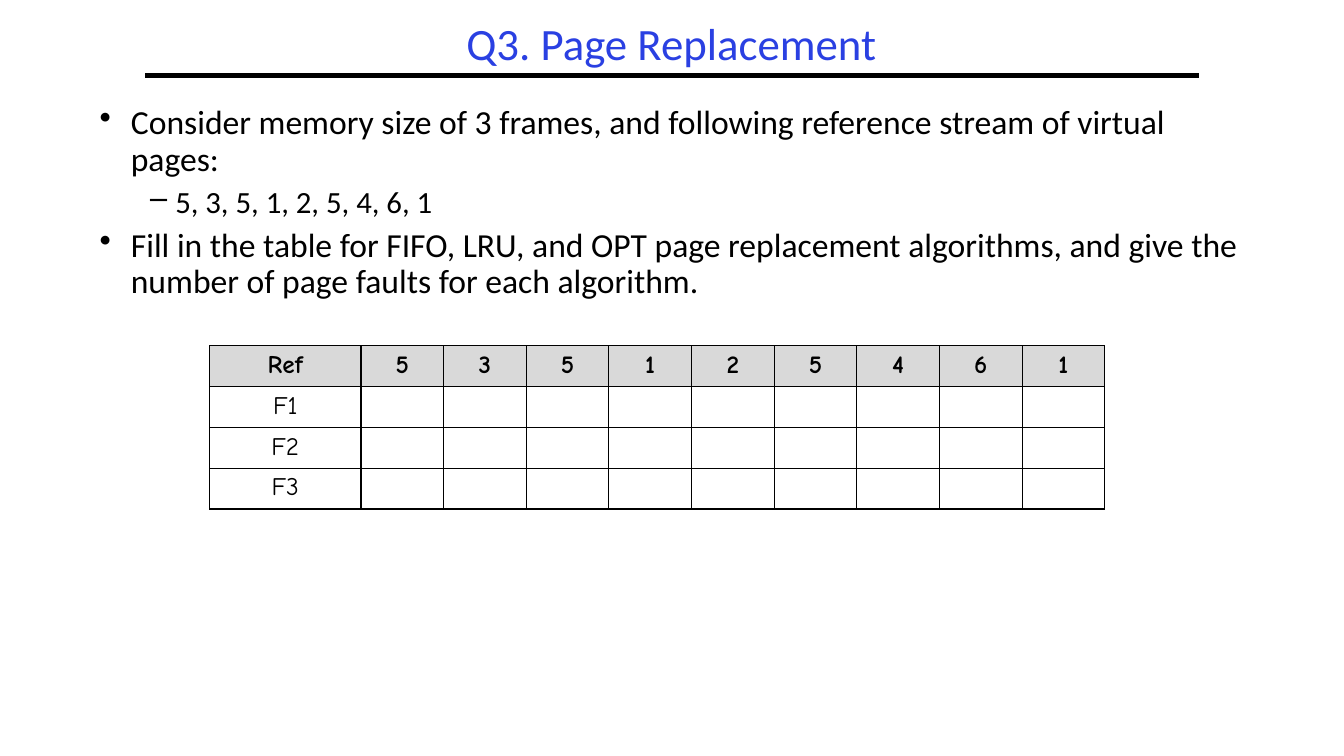
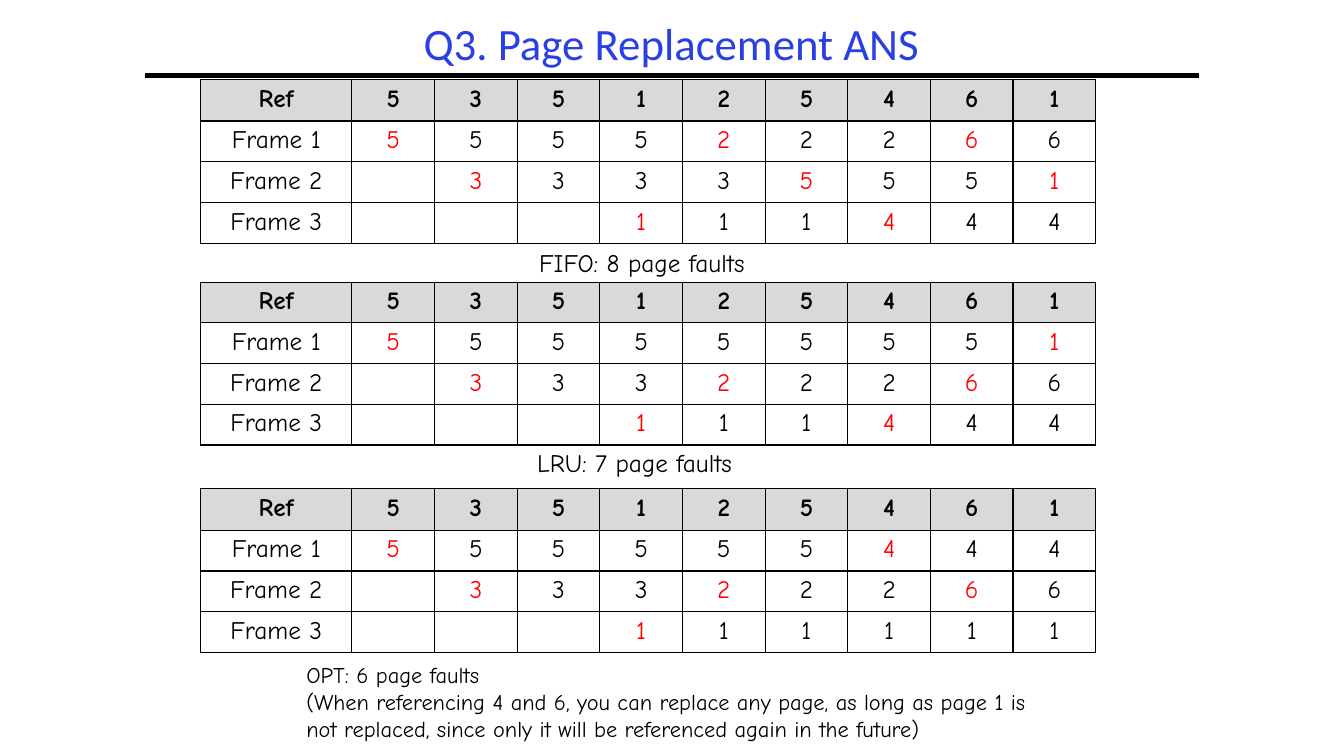
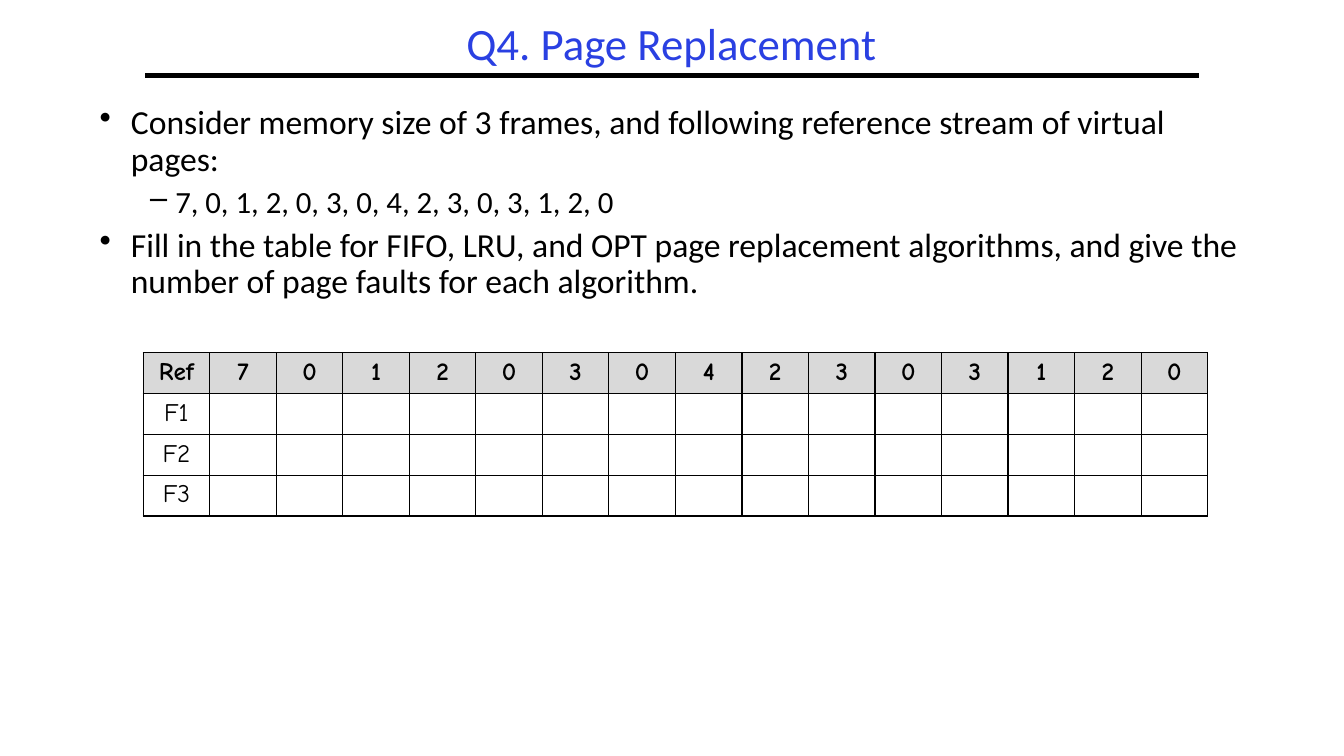
from lxml.etree import SubElement
from pptx import Presentation
from pptx.dml.color import RGBColor
from pptx.enum.shapes import MSO_CONNECTOR
from pptx.enum.text import MSO_ANCHOR, PP_ALIGN
from pptx.oxml.ns import qn
from pptx.util import Inches, Pt

BLACK, RED, BLUE, GRAY = "000000", "FF0000", "2A40E2", "D9D9D9"
BODY_FONT, TABLE_FONT = "Calibri", "Comic Neue"

QUESTION = "Consider memory size of 3 frames, and following reference stream of virtual pages:"
TASK = ("Fill in the table for FIFO, LRU, and OPT page replacement algorithms, "
        "and give the number of page faults for each algorithm.")
Q3_STREAM = [5, 3, 5, 1, 2, 5, 4, 6, 1]
Q4_STREAM = [7, 0, 1, 2, 0, 3, 0, 4, 2, 3, 0, 3, 1, 2, 0]
Q3_COLUMNS = [1.5] + [0.82] * len(Q3_STREAM)
Q4_COLUMNS = [0.66] * (len(Q4_STREAM) + 1)
TABLE_HEIGHT = 1.62

QUESTIONS = {
    "Q3. Page Replacement": (Q3_STREAM, Q3_COLUMNS, 2.08, 3.43),
    "Q4. Page Replacement": (Q4_STREAM, Q4_COLUMNS, 1.42, 3.5),
}
ANSWER_TITLE = "Q3. Page Replacement ANS"
ANSWERS = [
    {"top": 0.79, "header": 0.41,
     "frames": ["555522266", " 33335551", "   111444"],
     "caption": ["FIFO: 8 page faults"], "box": (5.25, 2.4, 2.54, 0.4), "size": 18},
    {"top": 2.8, "header": 0.39,
     "frames": ["555555551", " 33322266", "   111444"],
     "caption": ["LRU: 7 page faults"], "box": (5.23, 4.39, 2.42, 0.4), "size": 18},
    {"top": 4.85, "header": 0.41,
     "frames": ["555555444", " 33322266", "   111111"],
     "caption": ["OPT: 6 page faults",
                 "(When referencing 4 and 6, you can replace any page, as long as page 1 is "
                 "not replaced, since only it will be referenced again in the future)"],
     "box": (2.94, 6.51, 7.65, 0.91), "size": 16},
]


def color(value):
    return RGBColor.from_string(value)


def style(paragraph, font_name, size, text_color=BLACK, bold=False):
    font = paragraph.font
    font.name, font.size, font.bold = font_name, Pt(size), bold
    font.color.rgb = color(text_color)


def add_text(slide, box, lines):
    frame = slide.shapes.add_textbox(*map(Inches, box)).text_frame
    frame.word_wrap = True
    frame.text = "\n".join(lines)
    return frame


def add_titled_slide(presentation, title):
    slide = presentation.slides.add_slide(presentation.slide_layouts[6])
    rule = slide.shapes.add_connector(
        MSO_CONNECTOR.STRAIGHT, Inches(1.44), Inches(0.75), Inches(11.89), Inches(0.75))
    rule.line.color.rgb = color(BLACK)
    rule.line.width = Pt(3)
    SubElement(rule.element.spPr, qn("a:effectLst"))
    frame = add_text(slide, (1.44, 0.17, 10.44, 0.58), [title])
    frame.vertical_anchor = MSO_ANCHOR.MIDDLE
    paragraph = frame.paragraphs[0]
    paragraph.alignment = PP_ALIGN.CENTER
    paragraph.line_spacing = 0.9
    style(paragraph, BODY_FONT, 32, BLUE)
    return slide


def add_bullets(slide, stream):
    items = [(QUESTION, "•", 0.31, 0.31, 24),
             (", ".join(map(str, stream)), "–", 0.75, 0.25, 22),
             (TASK, "•", 0.31, 0.31, 24)]
    frame = add_text(slide, (0.89, 1, 11.56, 2.43), [item[0] for item in items])
    for index, (paragraph, item) in enumerate(zip(frame.paragraphs, items)):
        _, bullet, margin, hanging, size = item
        paragraph.line_spacing = 0.9
        if index:
            paragraph.space_before = Pt(6)
        properties = paragraph._p.get_or_add_pPr()
        properties.set("marL", str(Inches(margin)))
        properties.set("indent", str(-Inches(hanging)))
        SubElement(properties, qn("a:buChar"), char=bullet)
        style(paragraph, BODY_FONT, size)


def add_borders(cell):
    properties = cell._tc.get_or_add_tcPr()
    for side in ("lnL", "lnR", "lnT", "lnB"):
        line = SubElement(properties, qn(f"a:{side}"), w=str(Pt(1)))
        fill = SubElement(line, qn("a:solidFill"))
        SubElement(fill, qn("a:srgbClr"), val=BLACK)


def add_frame_table(slide, left, top, columns, stream, label, frames, header=None):
    rows = [["Ref", *map(str, stream)]]
    rows += [[f"{label}{number}", *pages] for number, pages in enumerate(frames, 1)]
    table = slide.shapes.add_table(
        len(rows), len(columns), Inches(left), Inches(top),
        Inches(sum(columns)), Inches(TABLE_HEIGHT)).table
    table.first_row = table.horz_banding = False
    for column, width in zip(table.columns, columns):
        column.width = Inches(width)
    if header:
        table.rows[0].height = Inches(header)
    for row_index, row in enumerate(rows):
        for column_index, text in enumerate(row):
            cell = table.cell(row_index, column_index)
            add_borders(cell)
            is_header = row_index == 0
            if is_header:
                cell.fill.solid()
                cell.fill.fore_color.rgb = color(GRAY)
            else:
                cell.fill.background()
            cell.text = text.strip()
            is_fault = not is_header and column_index > 0 and text != row[column_index - 1]
            paragraph = cell.text_frame.paragraphs[0]
            paragraph.alignment = PP_ALIGN.CENTER
            style(paragraph, TABLE_FONT, 18, RED if is_fault else BLACK, is_header)


def add_question(presentation, title):
    stream, columns, left, top = QUESTIONS[title]
    slide = add_titled_slide(presentation, title)
    add_bullets(slide, stream)
    add_frame_table(slide, left, top, columns, stream, "F", [" " * len(stream)] * 3)


def add_answers(presentation):
    slide = add_titled_slide(presentation, ANSWER_TITLE)
    for answer in ANSWERS:
        add_frame_table(slide, 1.99, answer["top"], Q3_COLUMNS, Q3_STREAM,
                        "Frame ", answer["frames"], answer["header"])
        for paragraph in add_text(slide, answer["box"], answer["caption"]).paragraphs:
            style(paragraph, TABLE_FONT, answer["size"])


def main():
    presentation = Presentation()
    presentation.slide_width, presentation.slide_height = Inches(13.33), Inches(7.5)
    add_question(presentation, "Q3. Page Replacement")
    add_answers(presentation)
    add_question(presentation, "Q4. Page Replacement")
    presentation.save("out.pptx")


if __name__ == "__main__":
    main()
